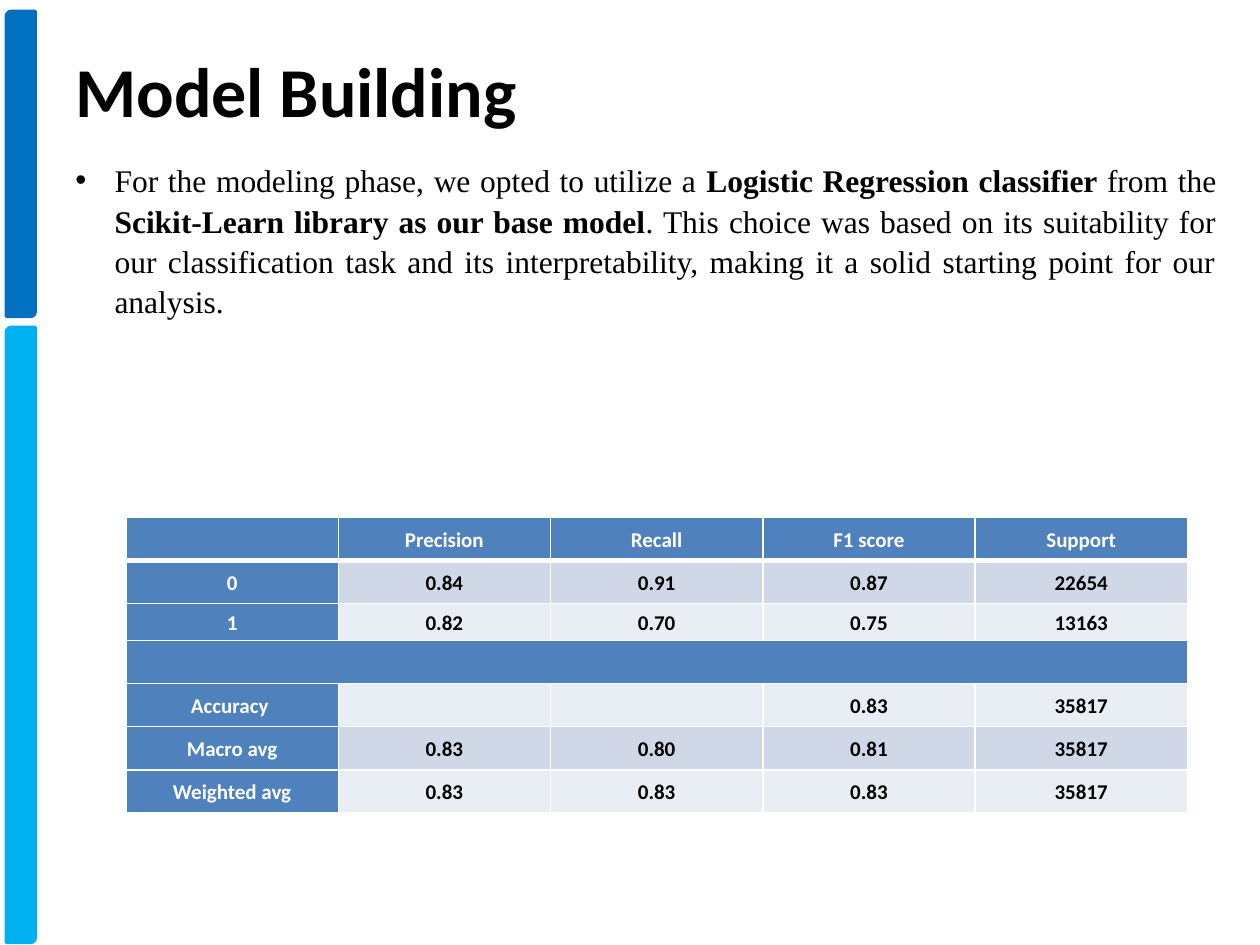
from lxml import etree
from pptx import Presentation
from pptx.dml.color import RGBColor
from pptx.enum.shapes import MSO_SHAPE
from pptx.enum.text import MSO_ANCHOR, MSO_AUTO_SIZE, PP_ALIGN
from pptx.oxml.ns import qn
from pptx.util import Cm, Pt

BAR_SHAPE = MSO_SHAPE.ROUND_2_DIAG_RECTANGLE
TOP, MIDDLE = MSO_ANCHOR.TOP, MSO_ANCHOR.MIDDLE
FIT_SHAPE = MSO_AUTO_SIZE.SHAPE_TO_FIT_TEXT
LEFT, CENTER, JUSTIFY = PP_ALIGN.LEFT, PP_ALIGN.CENTER, PP_ALIGN.JUSTIFY

BLACK, WHITE = "000000", "FFFFFF"
HEADER_BLUE = "4F81BD"
BANDS = ["E9EDF4", "D0D8E8"]


def style_font(font, name, size, color, bold):
    font.name = name
    font.size = Pt(size)
    font.bold = bold
    font.color.rgb = RGBColor.from_string(color)


def add_border(cell, side, width):
    """Draw a white line on one side (lnL, lnR, lnT or lnB) of a cell."""
    properties = cell._tc.get_or_add_tcPr()
    line = etree.SubElement(properties, qn(f"a:{side}"), w=str(Pt(width)))
    fill = etree.SubElement(line, qn("a:solidFill"))
    etree.SubElement(fill, qn("a:srgbClr"), val=WHITE)


presentation = Presentation()
presentation.slide_width = Cm(25.4)
presentation.slide_height = Cm(19.05)
slide = presentation.slides.add_slide(presentation.slide_layouts[5])

# Side bars
for top, height, color in [(0.23, 6.15, "0070C0"), (6.6, 12.4, "00B0F0")]:
    bar = slide.shapes.add_shape(BAR_SHAPE, Cm(0.13), Cm(top), Cm(0.58), Cm(height))
    bar.shadow.inherit = False
    bar.fill.solid()
    bar.fill.fore_color.rgb = RGBColor.from_string(color)
    bar.line.color.rgb = RGBColor.from_string(color)
    bar.line.width = Pt(2)

# Title
title = slide.shapes.title
title.left, title.top, title.width, title.height = Cm(1.27), Cm(0.84), Cm(23.72), Cm(1.96)
title.text_frame.text = "Model Building"
title.text_frame.vertical_anchor = TOP
title.text_frame.auto_size = FIT_SHAPE
title_paragraph = title.text_frame.paragraphs[0]
title_paragraph.alignment = LEFT
style_font(title_paragraph.runs[0].font, "Calibri", 40, BLACK, True)

# Explanation, with the key phrases in bold
explanation = [
    ("For the modeling phase, we opted to utilize a ", False),
    ("Logistic Regression classifier ", True),
    ("from the ", False),
    ("Scikit-Learn library as our base model", True),
    (". This choice was based on its suitability for our classification task and its "
     "interpretability, making it a solid starting point for our analysis.", False),
]
body = slide.shapes.add_textbox(Cm(1.27), Cm(3.07), Cm(23.5), Cm(3.5))
body.text_frame.word_wrap = True
body.text_frame.auto_size = FIT_SHAPE
paragraph = body.text_frame.paragraphs[0]
paragraph_properties = paragraph._p.get_or_add_pPr()
paragraph_properties.set("marL", str(Cm(0.79)))
paragraph_properties.set("indent", str(Cm(-0.79)))
etree.SubElement(paragraph_properties, qn("a:buFont"), typeface="Arial")
etree.SubElement(paragraph_properties, qn("a:buChar"), char="•")
paragraph.alignment = JUSTIFY
paragraph.line_spacing = 1.07
paragraph.space_after = Pt(8)
for text, bold in explanation:
    run = paragraph.add_run()
    run.text = text
    style_font(run.font, "Times New Roman", 18, BLACK, bold)

# Classification report
report = [
    ["", "Precision", "Recall", "F1 score", "Support"],
    ["0", "0.84", "0.91", "0.87", "22654"],
    ["1", "0.82", "0.70", "0.75", "13163"],
    ["", "", "", "", ""],
    ["Accuracy ", "", "", "0.83", "35817"],
    ["Macro avg", "0.83", "0.80", "0.81", "35817"],
    ["Weighted avg", "0.83", "0.83", "0.83", "35817"],
]
SEPARATOR_ROW = 3
row_heights = [0.87, 0.87, 0.74, 0.87, 0.87, 0.87, 0.87]
table = slide.shapes.add_table(
    len(report), len(report[0]), Cm(2.54), Cm(10.43), Cm(21.4), Cm(sum(row_heights))
).table
for row, height in zip(table.rows, row_heights):
    row.height = Cm(height)

for row_index, values in enumerate(report):
    for column_index, value in enumerate(values):
        cell = table.cell(row_index, column_index)
        is_header = row_index in (0, SEPARATOR_ROW) or column_index == 0
        for side in ("lnL", "lnR", "lnT", "lnB"):
            under_header = (row_index, side) in [(0, "lnB"), (1, "lnT")]
            add_border(cell, side, 3 if under_header else 1)
        cell.fill.solid()
        fill_color = HEADER_BLUE if is_header else BANDS[row_index % 2]
        cell.fill.fore_color.rgb = RGBColor.from_string(fill_color)
        cell.margin_left = cell.margin_right = Cm(0.18)
        cell.margin_top = cell.margin_bottom = 0
        cell.vertical_anchor = MIDDLE
        if value:
            cell.text_frame.text = value
            paragraph = cell.text_frame.paragraphs[0]
            paragraph.alignment = CENTER
            paragraph.line_spacing = 1.07
            text_color = WHITE if is_header else BLACK
            style_font(paragraph.runs[0].font, "Calibri", 12, text_color, True)

table.cell(SEPARATOR_ROW, 0).merge(table.cell(SEPARATOR_ROW, len(report[0]) - 1))

presentation.save("out.pptx")
